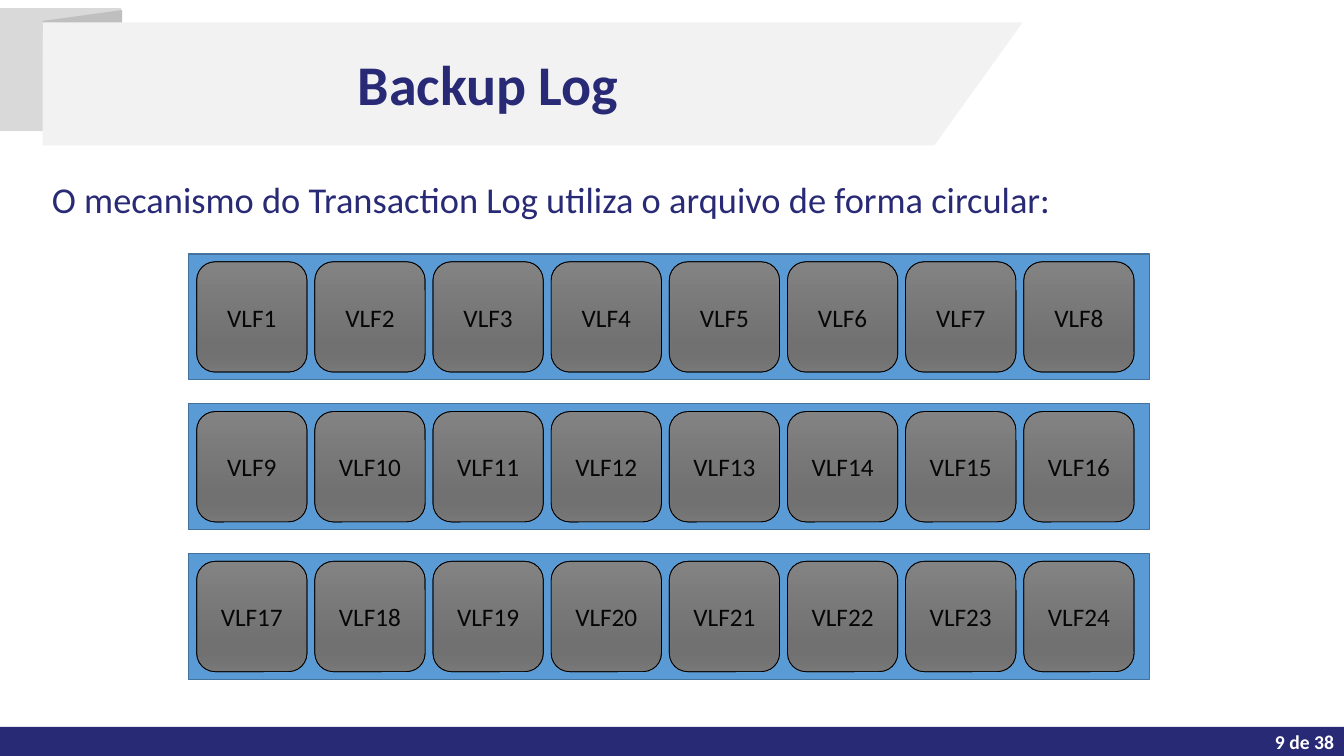
from dataclasses import dataclass

from lxml.etree import SubElement
from pptx import Presentation
from pptx.dml.color import RGBColor
from pptx.enum.shapes import MSO_SHAPE
from pptx.enum.text import MSO_ANCHOR, PP_ALIGN
from pptx.oxml.ns import qn
from pptx.util import Pt


@dataclass(frozen=True)
class Theme:
    font: str = "Calibri"
    navy: str = "292A76"
    white: str = "FFFFFF"
    black: str = "000000"
    ribbon_back: str = "D9D9D9"
    ribbon_fold: str = "BFBFBF"
    ribbon_front: str = "F2F2F2"
    log_file: str = "5B9BD5"
    log_file_edge: str = "43729D"
    used: str = "0D0D0D"
    vlf_stops: tuple = ((0, "FAFAFA"), (74, "D6D6D6"), (83, "D6D6D6"), (100, "E4E4E4"))
    title_size: float = 40
    body_size: float = 26
    vlf_size: float = 18
    page_size: float = 14


class SlideBuilder:
    def __init__(self, slide, theme):
        self.shapes = slide.shapes
        self.theme = theme

    def paint(self, shape, fill, edge=None, edge_width=1.0):
        shape.shadow.inherit = False
        if fill:
            shape.fill.solid()
            shape.fill.fore_color.rgb = RGBColor.from_string(fill)
        if edge:
            shape.line.color.rgb = RGBColor.from_string(edge)
            shape.line.width = Pt(edge_width)
        else:
            shape.line.fill.background()

    def label(self, shape, text, size, color, align, anchor=MSO_ANCHOR.MIDDLE,
              bold=False, spacing=None):
        frame = shape.text_frame
        frame.text = text
        frame.word_wrap = True
        frame.vertical_anchor = anchor
        paragraph = frame.paragraphs[0]
        paragraph.alignment = align
        if spacing:
            paragraph.line_spacing = spacing
        font = paragraph.runs[0].font
        font.name = self.theme.font
        font.size = Pt(size)
        font.bold = bold
        font.color.rgb = RGBColor.from_string(color)

    def text(self, box, *content, **style):
        self.label(self.shapes.add_textbox(*map(Pt, box)), *content, **style)

    def rectangle(self, box, fill, edge=None):
        bar = self.shapes.add_shape(MSO_SHAPE.RECTANGLE, *map(Pt, box))
        self.paint(bar, fill, edge)

    def outline(self, points, fill):
        start, *others = [(Pt(x), Pt(y)) for x, y in points]
        builder = self.shapes.build_freeform(*start)
        builder.add_line_segments(others, close=True)
        self.paint(builder.convert_to_shape(), fill)

    def rounded(self, box, fill=None):
        tile = self.shapes.add_shape(MSO_SHAPE.ROUNDED_RECTANGLE, *map(Pt, box))
        self.paint(tile, fill, self.theme.black, 0.5)
        return tile

    def vlf(self, box, name):
        tile = self.rounded(box)
        tile.fill.gradient()
        tile.fill.gradient_angle = 270
        stops = tile._element.spPr.find(qn("a:gradFill")).find(qn("a:gsLst"))
        for stop in list(stops):
            stops.remove(stop)
        for position, color in self.theme.vlf_stops:
            stop = SubElement(stops, qn("a:gs"), pos=str(position * 1000))
            SubElement(stop, qn("a:srgbClr"), val=color)
        self.label(tile, name, self.theme.vlf_size, self.theme.black, PP_ALIGN.CENTER)

    def used_mark(self, box):
        tile = self.rounded(box, self.theme.used)
        color = tile._element.spPr.find(qn("a:solidFill")).find(qn("a:srgbClr"))
        SubElement(color, qn("a:alpha"), val="50000")


def main():
    theme = Theme()
    deck = Presentation()
    deck.slide_width, deck.slide_height = Pt(960), Pt(540)
    page = SlideBuilder(deck.slides.add_slide(deck.slide_layouts[6]), theme)

    # Footer band and title ribbon
    page.rectangle((0, 519.2, 960, 20.8), theme.navy)
    page.rectangle((0, 5.8, 86.5, 87.8), theme.ribbon_back)
    page.outline([(30.4, 15), (87.2, 7.2), (87.8, 102.5), (31.5, 102.5)], theme.ribbon_fold)
    page.outline([(30.4, 16), (730.5, 16), (667.5, 103.8), (30.4, 103.8)], theme.ribbon_front)
    page.text((30.4, 29, 636.5, 60.5), "Backup Log", theme.title_size, theme.navy,
              PP_ALIGN.CENTER, bold=True)

    # Log file: rows of VLFs, each covered by a translucent used mark
    rows, columns = 3, 8
    left, top, width, height = 134.8, 181.3, 686.2, 90
    row_pitch, column_pitch = 107, 84.4
    tile, margin = 78.8, 5.7
    for row in range(rows):
        row_top = top + row * row_pitch
        page.rectangle((left, row_top, width, height), theme.log_file, theme.log_file_edge)
        tiles = [(left + margin + column * column_pitch, row_top + margin, tile, tile)
                 for column in range(columns)]
        for number, box in enumerate(tiles, row * columns + 1):
            page.vlf(box, f"VLF{number}")
        for box in tiles:
            page.used_mark(box)

    # Statement and page number
    page.text((30, 107.3, 744.5, 100.8),
              "O mecanismo do Transaction Log utiliza o arquivo de forma circular:",
              theme.body_size, theme.navy, PP_ALIGN.LEFT, anchor=MSO_ANCHOR.TOP, spacing=1.5)
    page.text((825, 520, 135, 20), "9 de 38", theme.page_size, theme.white,
              PP_ALIGN.RIGHT, bold=True)

    deck.save("out.pptx")


if __name__ == "__main__":
    main()
